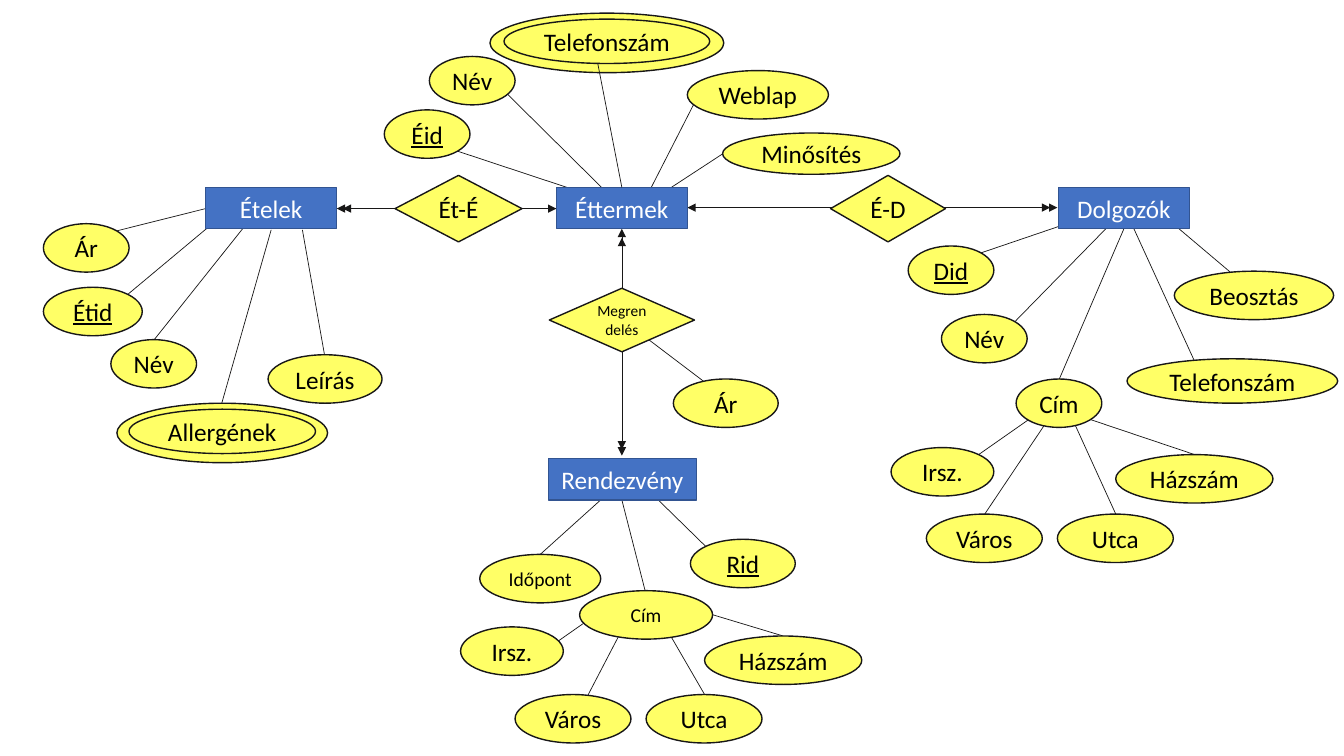
from dataclasses import dataclass
from typing import NamedTuple

from lxml.etree import SubElement
from pptx import Presentation
from pptx.dml.color import RGBColor
from pptx.enum.shapes import MSO_CONNECTOR, MSO_SHAPE
from pptx.enum.text import MSO_ANCHOR, PP_ALIGN
from pptx.oxml.ns import qn
from pptx.util import Pt


@dataclass(frozen=True)
class Theme:
    font: str = "Calibri"
    entity_fill: str = "4472C4"
    entity_border: str = "325491"
    entity_text: str = "FFFFFF"
    fill: str = "FFFF66"
    ink: str = "181717"
    text: str = "000000"
    normal: float = 18
    small: float = 14
    tiny: float = 11
    border: float = 1
    link: float = 0.5


THEME = Theme()


class Entity(NamedTuple):
    label: str
    left: float
    top: float = 133.9
    width: float = 93.6
    height: float = 29.5


class Relation(NamedTuple):
    label: str
    left: float
    top: float
    width: float
    height: float
    size: float = THEME.normal
    wrap: bool = False


class Attribute(NamedTuple):
    label: str
    left: float
    top: float
    width: float = 61.2
    height: float = 34.6
    key: bool = False
    size: float = THEME.normal
    ring: float = 0  # side gap to the inner ellipse of a multivalued attribute


class Link(NamedTuple):
    x1: float
    y1: float
    x2: float
    y2: float
    start_arrow: bool = False
    end_arrow: bool = False


RING_TOP, RING_HEIGHT = 4.3, 31.7

ENTITIES = [
    Entity("Ételek", 146.9),
    Entity("Éttermek", 397.4),
    Entity("Dolgozók", 756),
    Entity("Rendezvény", 391.7, 327.6, 105.8),
]

RELATIONS = [
    Relation("Ét-É", 282.2, 125.3, 90.7, 47.5),
    Relation("É-D", 593.3, 125.3, 82.1, 47.5),
    Relation("Megrendelés", 392.4, 205.9, 103.7, 45.4, size=THEME.tiny, wrap=True),
]

ATTRIBUTES = [
    # Ételek
    Attribute("Ár", 31, 159.8),
    Attribute("Étid", 31, 205.2, 70.6, key=True),
    Attribute("Név", 79.2, 242.6),
    Attribute("Leírás", 191.5, 253.4, 81.4),
    Attribute("Allergének", 83.5, 288, 150.5, 42.5, ring=8.6),
    # Éttermek
    Attribute("Éid", 274.5, 78.5, key=True),
    Attribute("Név", 306.7, 40.3),
    Attribute("Telefonszám", 350, 9.4, 167, 42.5, ring=10),
    Attribute("Weblap", 491, 50.4, 100.8),
    Attribute("Minősítés", 516.2, 95, 126.7, 29.5),
    # Dolgozók
    Attribute("Did", 648.7, 175.7, key=True),
    Attribute("Név", 672.5, 224.6),
    Attribute("Beosztás", 838.8, 193.7, 113.8),
    Attribute("Telefonszám", 805, 256.3, 150.5, 31.7),
    Attribute("Cím", 725.8, 270.7),
    Attribute("Irsz.", 636.5, 319.7, 73.4),
    Attribute("Város", 661.7, 367.2, 82.8),
    Attribute("Utca", 755.3, 367.2, 82.8),
    Attribute("Házszám", 797, 324.7, 112.3),
    # Megrendelés
    Attribute("Ár", 481, 270.7, 74.9),
    # Rendezvény
    Attribute("Rid", 493.2, 385.2, 74.9, key=True),
    Attribute("Időpont", 342.7, 396, 86.4, size=THEME.small),
    Attribute("Cím", 414, 421.9, 95, size=THEME.small),
    Attribute("Irsz.", 329, 447.8, 73.4),
    Attribute("Város", 367.9, 496.1, 82.8),
    Attribute("Utca", 461.5, 496.1, 82.8),
    Attribute("Házszám", 503.3, 454.3, 112.3),
]

LINKS = [
    # Ét-É, É-D, Megrendelés
    Link(397.4, 149, 240.5, 149, start_arrow=True, end_arrow=True),
    Link(401.8, 149, 244.8, 149, end_arrow=True),
    Link(491, 148.3, 755.3, 148.3, start_arrow=True, end_arrow=True),
    Link(491, 148.3, 750.2, 148.3, end_arrow=True),
    Link(444.2, 163.4, 444.2, 325.4, start_arrow=True, end_arrow=True),
    Link(444.2, 169.9, 444.2, 321.1, start_arrow=True, end_arrow=True),
    Link(458.6, 239, 503.3, 272.9),
    # Ételek
    Link(146.9, 149, 83.5, 164.9),
    Link(153.4, 158.4, 91.4, 210.2),
    Link(175, 161.3, 110.2, 242.6),
    Link(193.7, 164.2, 158.4, 288),
    Link(216, 164.2, 231.8, 253.4),
    # Éttermek
    Link(422.6, 139.7, 326.9, 108),
    Link(435.6, 139.7, 362.2, 67),
    Link(463.7, 136.8, 496.1, 73.4),
    Link(479.5, 133.9, 519.1, 108),
    # Dolgozók
    Link(766.1, 158.4, 700.6, 180.7),
    Link(790.6, 162.7, 725, 229.7),
    Link(802.8, 163.4, 756.7, 270.7),
    Link(809.3, 162, 856.1, 264.2),
    Link(838.8, 160.6, 899.3, 211.7),
    Link(735.1, 299.5, 699.1, 324.7),
    Link(748.8, 299.5, 703.4, 367.2),
    Link(766.8, 301, 797, 367.2),
    Link(778.3, 299.5, 853.2, 324.7),
    # Rendezvény
    Link(429.1, 357.1, 385.9, 396),
    Link(444.2, 357.1, 460.8, 421.9),
    Link(468, 355, 504, 390.2),
    Link(430.6, 435.6, 394.6, 460.8),
    Link(444.2, 450, 417.6, 501.1),
    Link(476.6, 450, 503.3, 496.1),
    Link(499.7, 436.3, 559.4, 454.3),
]
PHONE_LINK = Link(444.2, 133.9, 427, 45.4)


def write(shape, text: str, *, color: str = THEME.text, size: float = THEME.normal,
          underline: bool = False, wrap: bool = False) -> None:
    frame = shape.text_frame
    frame.word_wrap = wrap
    frame.vertical_anchor = MSO_ANCHOR.MIDDLE
    paragraph = frame.paragraphs[0]
    paragraph.alignment = PP_ALIGN.CENTER
    run = paragraph.add_run()
    run.text = text
    run.font.name = THEME.font
    run.font.size = Pt(size)
    run.font.color.rgb = RGBColor.from_string(color)
    if underline:
        run.font.underline = True


def draw_outline(shapes, kind: MSO_SHAPE, left: float, top: float, width: float,
                 height: float, fill: str = THEME.fill, border: str = THEME.ink):
    shape = shapes.add_shape(kind, Pt(left), Pt(top), Pt(width), Pt(height))
    shape.shadow.inherit = False
    shape.fill.solid()
    shape.fill.fore_color.rgb = RGBColor.from_string(fill)
    shape.line.color.rgb = RGBColor.from_string(border)
    shape.line.width = Pt(THEME.border)
    return shape


def draw_entity(shapes, entity: Entity) -> None:
    box = draw_outline(shapes, MSO_SHAPE.RECTANGLE, *entity[1:],
                       fill=THEME.entity_fill, border=THEME.entity_border)
    write(box, entity.label, color=THEME.entity_text)


def draw_relation(shapes, relation: Relation) -> None:
    diamond = draw_outline(shapes, MSO_SHAPE.DIAMOND, *relation[1:5])
    write(diamond, relation.label, size=relation.size, wrap=relation.wrap)


def draw_attribute(shapes, item: Attribute) -> None:
    oval = draw_outline(shapes, MSO_SHAPE.OVAL, *item[1:5])
    if item.ring:
        oval = draw_outline(shapes, MSO_SHAPE.OVAL, item.left + item.ring,
                            item.top + RING_TOP, item.width - 2 * item.ring, RING_HEIGHT)
    write(oval, item.label, size=item.size, underline=item.key)


def draw_link(shapes, link: Link) -> None:
    line = shapes.add_connector(MSO_CONNECTOR.STRAIGHT, *map(Pt, link[:4]))
    line.line.color.rgb = RGBColor.from_string(THEME.ink)
    line.line.width = Pt(THEME.link)
    outline = line.line._get_or_add_ln()
    for tag, shown in (("a:headEnd", link.start_arrow), ("a:tailEnd", link.end_arrow)):
        if shown:
            SubElement(outline, qn(tag), type="triangle")
    SubElement(line._element.spPr, qn("a:effectLst"))


def main() -> None:
    deck = Presentation()
    deck.slide_width, deck.slide_height = Pt(960), Pt(540)
    shapes = deck.slides.add_slide(deck.slide_layouts[6]).shapes
    for link in LINKS:
        draw_link(shapes, link)
    for entity in ENTITIES:
        draw_entity(shapes, entity)
    for relation in RELATIONS:
        draw_relation(shapes, relation)
    for attribute in ATTRIBUTES:
        draw_attribute(shapes, attribute)
    draw_link(shapes, PHONE_LINK)
    deck.save("out.pptx")


if __name__ == "__main__":
    main()
